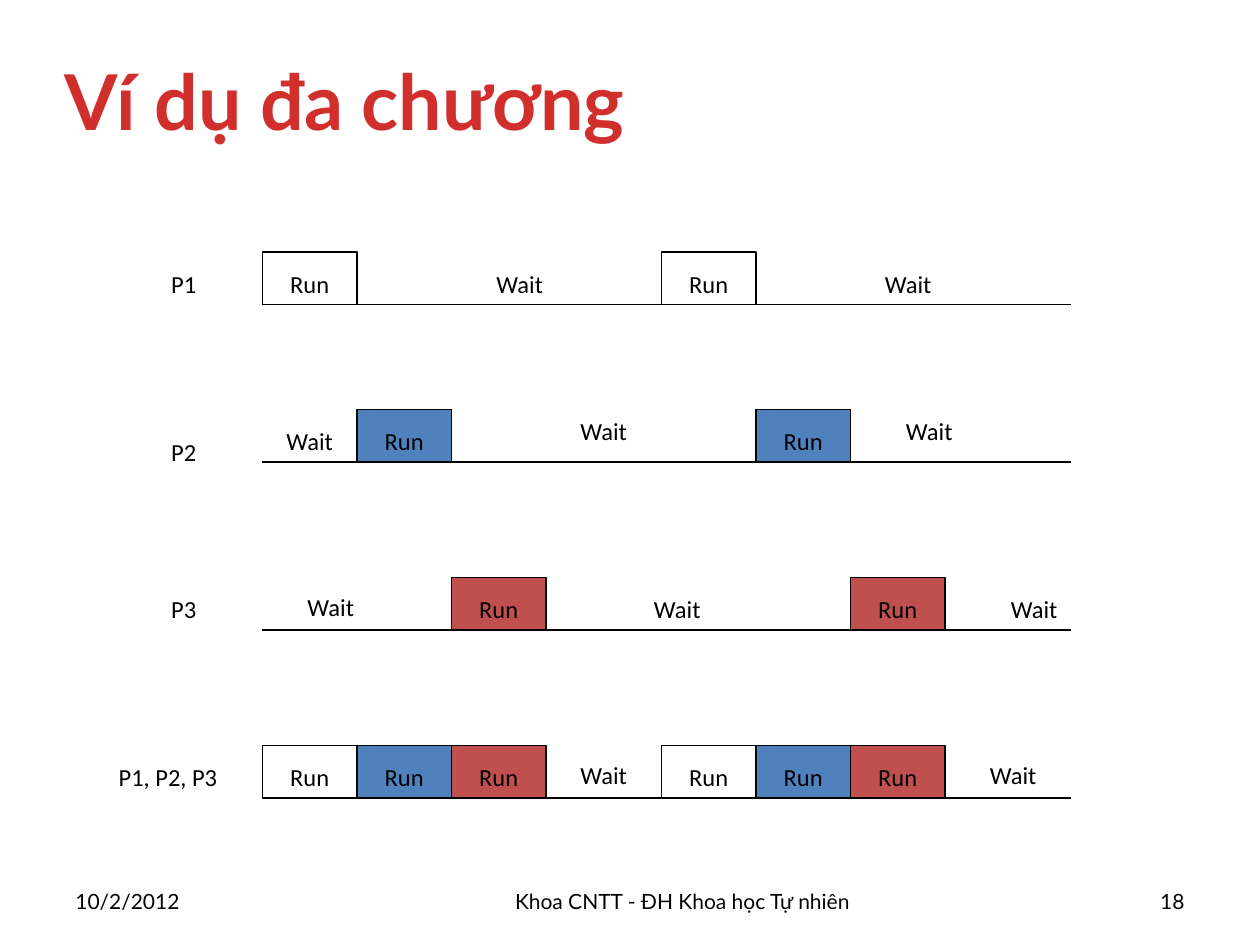
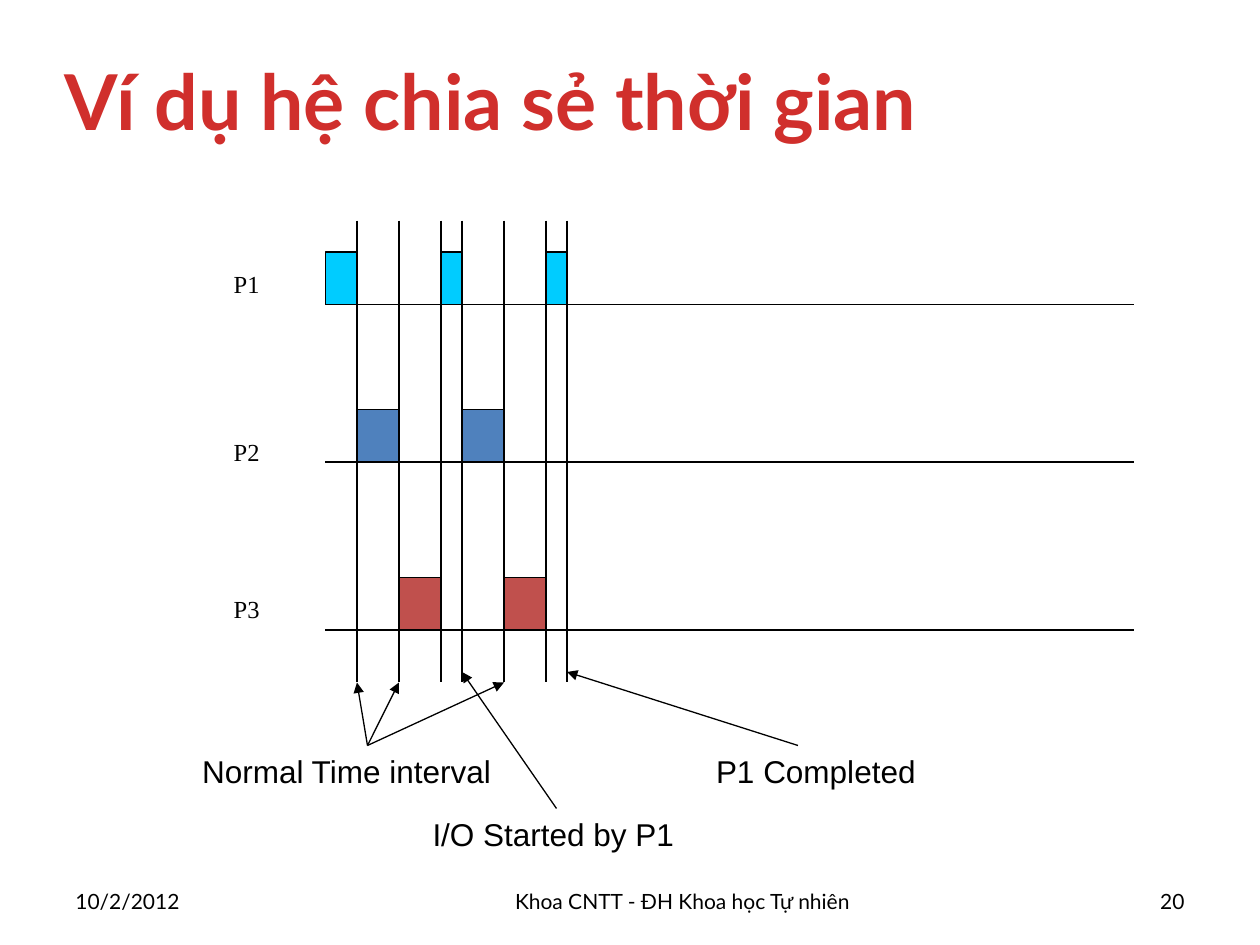
import itertools
from dataclasses import dataclass

import pptx
import pptx.dml.color
import pptx.enum.shapes
import pptx.enum.text
import pptx.oxml
import pptx.util

Cm, Pt = pptx.util.Cm, pptx.util.Pt
ALIGN = pptx.enum.text.PP_ALIGN
ANCHOR = pptx.enum.text.MSO_ANCHOR
LINE = pptx.enum.shapes.MSO_CONNECTOR.STRAIGHT
RECT = pptx.enum.shapes.MSO_SHAPE.RECTANGLE


@dataclass(frozen=True)
class Theme:
    ink: str = "000000"
    title: str = "D02F2C"
    cyan: str = "00CCFF"
    blue: str = "4F81BD"
    red: str = "C0504D"
    head: str = "Lato"
    body: str = "Calibri"
    serif: str = "Times New Roman"
    sans: str = "Arial"
    title_size: int = 44
    note_size: int = 18
    label_size: int = 14
    foot_size: int = 12
    thick: float = 1
    thin: float = 0.75


THEME = Theme()
TOPS = (24, 39, 55, 71)         # tops of the run blocks, in grid units
LABELS = (25, 41, 56)           # tops of the names P1 to P3
HIGH, SPAN = 5, 77              # height of a block, length of an axis


def unit(count):
    """Length of a number of grid units, twelve to the inch."""
    return Cm(count * 2.54 / 12)


def color(code):
    return pptx.dml.color.RGBColor.from_string(code)


def style(frame, words, size, face, ink=THEME.ink, align=ALIGN.CENTER, bold=False):
    frame.text = words
    para = frame.paragraphs[0]
    para.alignment = align
    font = para.font
    font.name, font.size, font.bold = face, Pt(size), bold
    font.color.rgb = color(ink)


def text(slide, box, words, size, face, anchor=ANCHOR.TOP, wrap=True, **look):
    frame = slide.shapes.add_textbox(*map(unit, box)).text_frame
    frame.word_wrap = wrap
    frame.vertical_anchor = anchor
    style(frame, words, size, face, **look)


def label(slide, left, top, words, face=THEME.body, width=7):
    text(slide, (left, top, width, 4), words, THEME.label_size, face)


def line(slide, start, end, width, arrow=False):
    link = slide.shapes.add_connector(LINE, *map(unit, (*start, *end)))
    link.line.color.rgb = color(THEME.ink)
    link.line.width = Pt(width)
    props = link._element.spPr
    if arrow:
        tail = pptx.oxml.ns.qn("a:tailEnd")
        link.line._get_or_add_ln().append(
            props.makeelement(tail, {"type": "triangle"}))
    props.append(props.makeelement(pptx.oxml.ns.qn("a:effectLst"), {}))


def axis(slide, left, top):
    base = top + HIGH
    line(slide, (left, base), (left + SPAN, base), THEME.thick)


def block(slide, left, top, width, fill, words=""):
    """Time slice of one process, with its words at the foot."""
    shape = slide.shapes.add_shape(RECT, *map(unit, (left, top, width, HIGH)))
    shape.shadow.inherit = False
    if fill:
        shape.fill.solid()
        shape.fill.fore_color.rgb = color(fill)
    else:
        shape.fill.background()
    shape.line.color.rgb = color(THEME.ink)
    shape.line.width = Pt(THEME.thick)
    if words:
        shape.text_frame.vertical_anchor = ANCHOR.BOTTOM
        style(shape.text_frame, words, THEME.label_size, THEME.body)


def page(deck, title, number):
    """New slide with the shared title and footer."""
    slide = deck.slides.add_slide(deck.slide_layouts[6])
    text(slide, (5, 2, 113, 15), title, THEME.title_size, THEME.head,
         anchor=ANCHOR.MIDDLE, ink=THEME.title, align=ALIGN.LEFT, bold=True)
    foot = (
        (6, 13, "10/2/2012", ALIGN.LEFT),
        (25, 80, "Khoa CNTT - ĐH Khoa học Tự nhiên", ALIGN.CENTER),
        (107, 7, str(number), ALIGN.RIGHT),
    )
    for left, width, words, align in foot:
        text(slide, (left, 83.4, width, 4.8), words, THEME.foot_size,
             THEME.head, anchor=ANCHOR.MIDDLE, align=align)
    return slide


def batch(deck):
    """Three processes that fill each other's waits."""
    slide = page(deck, "Ví dụ đa chương", 18)
    origin, width = 25, 9
    fills = (None, THEME.blue, THEME.red)
    for top in TOPS:
        axis(slide, origin, top)
    for start in (origin, 63):
        for order, fill in enumerate(fills):
            left = start + order * width
            for top in (TOPS[order], TOPS[-1]):
                block(slide, left, top, width, fill, "Run")
    waits = (
        (46, 25), (83, 25),
        (26, 40), (54, 39), (85, 39),
        (28, 55.8), (61, 56), (95, 56),
        (54, 71.8), (93, 71.8),
    )
    for left, top in waits:
        label(slide, left, top, "Wait")
    for order, top in enumerate(LABELS, 1):
        label(slide, 14, top, f"P{order}")
    label(slide, 9, 72, "P1, P2, P3", width=14)


def share(deck):
    """Three processes that take turns at fixed intervals."""
    slide = page(deck, "Ví dụ hệ chia sẻ thời gian", 20)
    origin = 31
    turns = (3, 4, 4, 2, 4, 4, 2)
    ticks = list(itertools.accumulate(turns, initial=origin))
    rows = itertools.cycle(zip(TOPS, (THEME.cyan, THEME.blue, THEME.red)))
    for order, (top, name) in enumerate(zip(TOPS, LABELS), 1):
        axis(slide, origin, top)
        label(slide, 20, name, f"P{order}", THEME.serif)
    for left, width, (top, fill) in zip(ticks, turns, rows):
        block(slide, left, top, width, fill)
    for tick in ticks[1:]:
        line(slide, (tick, 21), (tick, 65), THEME.thin)

    notes = (
        ("Normal Time interval", (14, 71, 38, 4.8), (35, 71),
         ((34, 65), (38, 65), (48, 65))),
        ("I/O Started by P1", (40, 77, 25.4, 4.8), (53, 77), ((44, 64),)),
        ("P1 Completed", (67, 71, 21.4, 4.8), (76, 71), ((54, 64),)),
    )
    for words, box, start, ends in notes:
        for end in ends:
            line(slide, start, end, THEME.thin, arrow=True)
        text(slide, box, words, THEME.note_size, THEME.sans, wrap=False)


def main():
    deck = pptx.Presentation()
    deck.slide_width, deck.slide_height = Cm(25.4), Cm(19.05)
    batch(deck)
    share(deck)
    deck.save("out.pptx")


if __name__ == "__main__":
    main()
